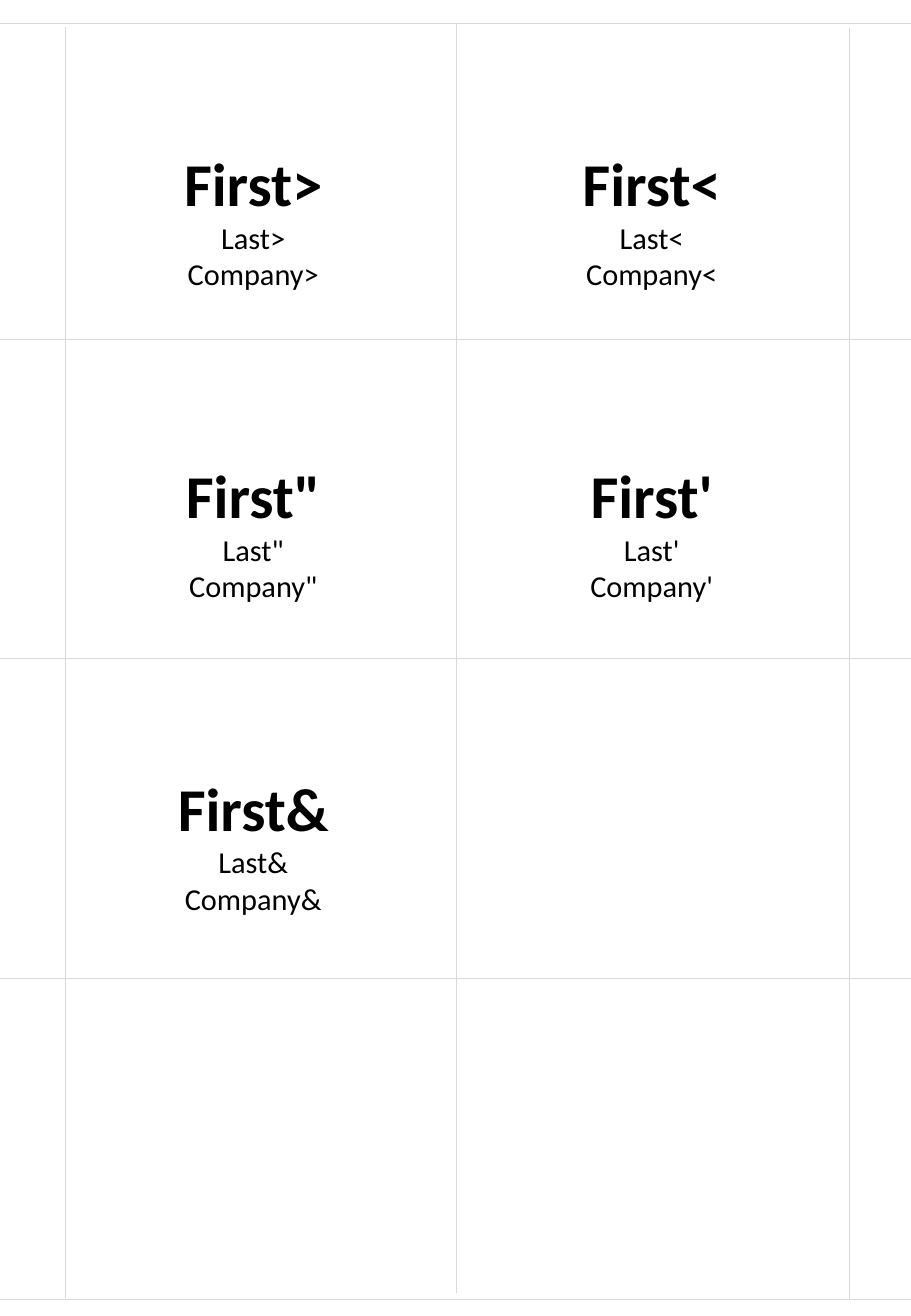
from pptx import Presentation
from pptx.dml.color import RGBColor
from pptx.enum.shapes import MSO_CONNECTOR
from pptx.enum.text import MSO_AUTO_SIZE, PP_ALIGN
from pptx.oxml.ns import qn
from pptx.util import Inches, Pt
from lxml import etree

COLORS = {"text": "000000", "cut": "D9D9D9"}
WIDTH, HEIGHT = 7.5, 10.83

prs = Presentation()
prs.slide_width, prs.slide_height = Inches(WIDTH), Inches(HEIGHT)
s = prs.slides.add_slide(prs.slide_layouts[6])

across = [(0, y, WIDTH, y) for y in (0.19, 2.79, 5.42, 8.05, 10.69)]
down = [(0.54, 0.22, 0.54, 10.68), (3.76, 0.19, 3.76, 10.64), (6.99, 0.23, 6.99, 10.69)]
for ends in across + down:
    line = s.shapes.add_connector(MSO_CONNECTOR.STRAIGHT, *[Inches(v) for v in ends])
    line.line.color.rgb = RGBColor.from_string(COLORS["cut"])
    line.line.width = Pt(0.5)
    etree.SubElement(line._element.spPr, qn("a:effectLst"))

for i, mark in enumerate("><\"'&"):
    row, col = divmod(i, 2)
    badge = s.shapes.add_textbox(Inches(0.51 + 3.28 * col), Inches(1.15 + 2.57 * row),
                                 Inches(3.15), Inches(1.31))
    tf = badge.text_frame
    tf.word_wrap = True
    tf.auto_size = MSO_AUTO_SIZE.SHAPE_TO_FIT_TEXT
    for n, (word, size) in enumerate([("First", 36), ("Last", 18), ("Company", 18)]):
        p = tf.add_paragraph() if n else tf.paragraphs[0]
        p.alignment = PP_ALIGN.CENTER
        r = p.add_run()
        r.text = word + mark
        r.font.name = "Calibri"
        r.font.size = Pt(size)
        r.font.bold = n == 0
        r.font.color.rgb = RGBColor.from_string(COLORS["text"])

prs.save("out.pptx")
